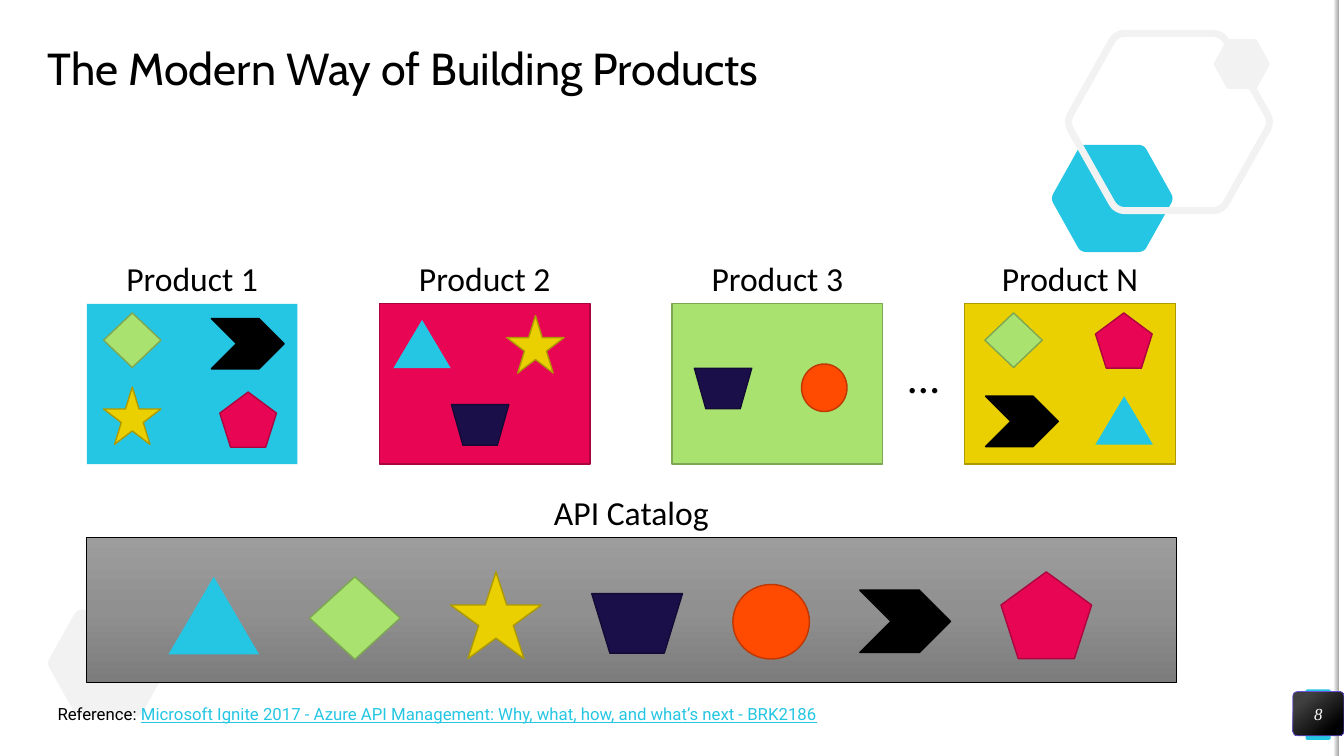
from math import cos, radians

from lxml.etree import SubElement
from pptx import Presentation
from pptx.dml.color import RGBColor
from pptx.enum.shapes import MSO_SHAPE
from pptx.enum.text import MSO_ANCHOR, MSO_AUTO_SIZE, PP_ALIGN
from pptx.oxml.ns import qn
from pptx.util import Pt

CYAN, PALE, BLACK, WHITE = "25C6E3", "F2F2F2", "000000", "FFFFFF"
GREEN, RED, YELLOW = ("A9E26F", "7DA752"), ("E80554", "AC043E"), ("EAD000", "AD9A00")

ICONS = {
    "triangle": (MSO_SHAPE.ISOSCELES_TRIANGLE, CYAN, None, 41, 34.5),
    "diamond": (MSO_SHAPE.FLOWCHART_DECISION, *GREEN, 41, 39),
    "star": (MSO_SHAPE.STAR_5_POINT, *YELLOW, 41, 41),
    "bucket": (MSO_SHAPE.FLOWCHART_MANUAL_OPERATION, "1A0F49", "130B36", 41, 29),
    "circle": (MSO_SHAPE.FLOWCHART_CONNECTOR, "FF4A01", "BD3701", 32.5, 34),
    "chevron": (MSO_SHAPE.CHEVRON, BLACK, BLACK, 52, 36),
    "pentagon": (MSO_SHAPE.REGULAR_PENTAGON, *RED, 40.5, 39.5),
}

PRODUCTS = [
    ("Product 1", CYAN, None,
     [("diamond", 12, 6.5), ("chevron", 89, 10.5), ("star", 12, 59.5), ("pentagon", 95, 63)]),
    ("Product 2", *RED, [("triangle", 10, 11.5), ("star", 91, 8.5), ("bucket", 51.5, 72)]),
    ("Product 3", *GREEN, [("bucket", 16, 46), ("circle", 92.5, 43)]),
    ("Product N", *YELLOW,
     [("diamond", 14.5, 6.5), ("pentagon", 93.5, 6.5), ("chevron", 15, 66), ("triangle", 93.5, 66)]),
]

CATALOG = [
    ("triangle", 28, 64.8, 55.5), ("diamond", 28, 64.8, 59), ("star", 24.5, 64.8, 62),
    ("bucket", 40, 64.8, 42.5), ("circle", 33.5, 54.7, 53.3), ("chevron", 37.5, 64.8, 44.6),
    ("pentagon", 24.5, 64.8, 62),
]


def color(hex_code):
    """Turn a hex string into a colour."""
    return RGBColor.from_string(hex_code)


def paint(shape, fill, line=None, weight=1):
    """Set fill and outline, and take the shadow away."""
    shape.shadow.inherit = False
    if fill:
        shape.fill.solid()
        shape.fill.fore_color.rgb = color(fill)
    else:
        shape.fill.background()
    if line:
        shape.line.color.rgb = color(line)
        shape.line.width = Pt(weight)
    else:
        shape.line.fill.background()


def shade(shape, stops, angle):
    """Fill a shape with a linear gradient, its angle clockwise."""
    shape.fill.gradient()
    shape.fill.gradient_angle = -angle % 360
    stop_list = shape._element.spPr.find(qn("a:gradFill")).find(qn("a:gsLst"))
    for old_stop in list(stop_list):
        stop_list.remove(old_stop)
    for percent, hex_code in stops:
        stop = SubElement(stop_list, qn("a:gs"), pos=str(percent * 1000))
        SubElement(stop, qn("a:srgbClr"), val=hex_code)


def add_preset(slide, preset, box, fill, line=None, weight=1):
    """Add a painted preset shape in a box given in points."""
    shape = slide.shapes.add_shape(preset, *map(Pt, box))
    paint(shape, fill, line, weight)
    return shape


def write(paragraph, text, **formats):
    """Add a run with the given font attributes."""
    run = paragraph.add_run()
    run.text = text
    run.font.color.rgb = color(formats.pop("ink", BLACK))
    for name, value in formats.items():
        setattr(run.font, name, value)


def trim(frame):
    """Remove the insets and centre the text vertically."""
    for side in ("left", "top", "right", "bottom"):
        setattr(frame, f"margin_{side}", 0)
    frame.vertical_anchor = MSO_ANCHOR.MIDDLE


def add_frame(slide, box, align=PP_ALIGN.LEFT, grow=True):
    """Add a wrapping text box and return its frame."""
    frame = slide.shapes.add_textbox(*map(Pt, box)).text_frame
    frame.word_wrap = True
    frame.auto_size = MSO_AUTO_SIZE.SHAPE_TO_FIT_TEXT if grow else MSO_AUTO_SIZE.NONE
    frame.paragraphs[0].alignment = align
    return frame


def add_label(slide, box, text, size=24):
    """Add a centred label."""
    frame = add_frame(slide, box, PP_ALIGN.CENTER)
    write(frame.paragraphs[0], text, size=Pt(size), name="Calibri")


def add_hexagon(slide, box, fill, line=None, weight=1):
    """Draw a hexagon with rounded corners that fills the box."""
    left, top, width, height = box
    corners = [(-.006, .5), (.24, 0), (.76, 0), (1.006, .5), (.76, 1), (.24, 1)]
    outline = []
    for i, corner in enumerate(corners):
        before, after = corners[i - 1], corners[(i + 1) % 6]
        start, end = ([c + .09 * (n - c) for c, n in zip(corner, near)] for near in (before, after))
        for step in range(7):
            t = step / 6
            x, y = ((1 - t) ** 2 * s + 2 * t * (1 - t) * c + t * t * e
                    for s, c, e in zip(start, corner, end))
            outline.append((Pt(left + x * width), Pt(top + y * height)))
    builder = slide.shapes.build_freeform(*outline[0])
    builder.add_line_segments(outline[1:], close=True)
    paint(builder.convert_to_shape(), fill, line, weight)


def add_icon(slide, kind, left, top, size=None):
    """Place one service icon by its top left corner."""
    preset, fill, line, *small = ICONS[kind]
    add_preset(slide, preset, (left, top, *(size or small)), fill, line)


def add_backdrop(slide, width, height):
    """Draw the edge strips and the hexagons."""
    tab = add_preset(slide, MSO_SHAPE.ROUNDED_RECTANGLE, (width - 27.5, 492.5, 18, 36), CYAN)
    tab.adjustments[0] = .07
    add_preset(slide, MSO_SHAPE.RECTANGLE, (width - 3.6, 0, 3.6, height), WHITE)
    edge = add_preset(slide, MSO_SHAPE.RECTANGLE, (width - 7.2, 0, 3.6, height), PALE)
    shade(edge, [(0, PALE), (100, "A6A6A6")], 0)
    add_hexagon(slide, (34, 435.5, 87, 76.5), PALE)
    add_hexagon(slide, (751, 103.5, 87, 76.5), CYAN)
    add_hexagon(slide, (762.5, 23.8, 145, 126.7), None, PALE, 5)
    add_hexagon(slide, (867, 28, 40, 35.5), PALE)
    add_hexagon(slide, (114.5, 417.5, 40, 35.5), WHITE)


def add_title(slide, box):
    """Write the slide title."""
    frame = add_frame(slide, box, grow=False)
    trim(frame)
    frame.paragraphs[0].line_spacing = .9
    write(frame.paragraphs[0], "The Modern Way of Building Products", size=Pt(32), name="Cabin")


def add_page_number(slide, box):
    """Draw the page number badge."""
    badge = add_preset(slide, MSO_SHAPE.ROUNDED_RECTANGLE, box, BLACK, "6A50DB", .5)
    badge.adjustments[0] = .1
    shade(badge, [(20, "404040"), (82, BLACK)], 50)
    trim(badge.text_frame)
    number = badge.text_frame.paragraphs[0]
    number.alignment = PP_ALIGN.CENTER
    write(number, "8", size=Pt(12), name="Times New Roman", italic=True, ink=WHITE)


def add_products(slide, left, top, width, height, pitch):
    """Draw the row of products with their icons."""
    for i, (product, fill, line, icons) in enumerate(PRODUCTS):
        x = left + i * pitch
        add_preset(slide, MSO_SHAPE.RECTANGLE, (x, top, width, height), fill, line)
        add_label(slide, (x, top - 36, width, 36), product)
        for kind, dx, dy in icons:
            add_icon(slide, kind, x + dx, top + dy)
    add_label(slide, (left + 2 * pitch + width, top + 28.5, pitch - width, 46), "…", 32)


def add_catalog(slide, left, top, width, height):
    """Draw the catalog bar with equally spaced icons."""
    bar = add_preset(slide, MSO_SHAPE.RECTANGLE, (left, top, width, height), "909090", BLACK, .5)
    shade(bar, [(0, "9D9D9D"), (50, "909090"), (100, "7C7C7C")], 90)
    add_label(slide, (left, top - 36, width, 36), "API Catalog")
    x = left + 58.3
    for kind, dy, icon_width, icon_height in CATALOG:
        add_icon(slide, kind, x, top + dy, (icon_width, icon_height))
        x += icon_width + 36


def add_reference(slide, box):
    """Write the reference line."""
    line = add_frame(slide, box).paragraphs[0]
    write(line, "Reference: ", size=Pt(12), name="Roboto")
    write(line, "Microsoft Ignite 2017 - Azure API Management: Why, what, how, and what’s next - BRK2186",
          size=Pt(12), name="Roboto", underline=True, ink=CYAN)


def main():
    """Build and save the slide."""
    deck = Presentation()
    deck.slide_width, deck.slide_height = Pt(960), Pt(540)
    slide = deck.slides.add_slide(deck.slide_layouts[6])
    add_backdrop(slide, 960, 540)
    add_title(slide, (34, 34, 892, 34))
    add_page_number(slide, (923.5, 494, 36.5, 31.5))
    add_products(slide, 62, 217, 150.5, 114.5, 209)
    add_catalog(slide, 62, 384, 778, 103.5)
    add_reference(slide, (34, 499, 578, 21.6))
    deck.save("out.pptx")


if __name__ == "__main__":
    main()
